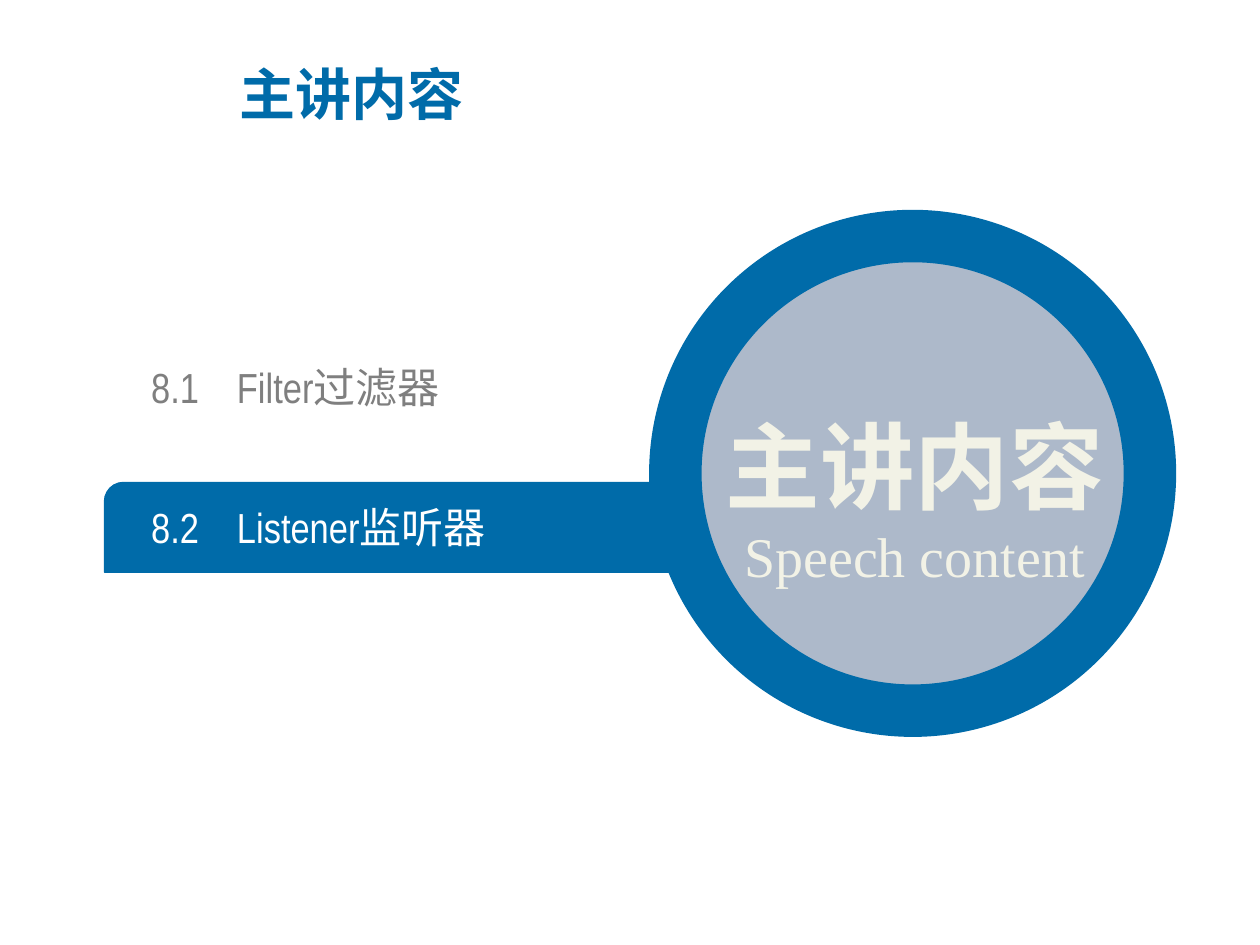
from dataclasses import dataclass

from lxml import etree
from pptx import Presentation
from pptx.dml.color import RGBColor
from pptx.enum.shapes import MSO_SHAPE
from pptx.enum.text import MSO_ANCHOR, MSO_AUTO_SIZE, PP_ALIGN
from pptx.oxml.ns import qn
from pptx.util import Pt

BAR = MSO_SHAPE.ROUND_2_DIAG_RECTANGLE
OVAL = MSO_SHAPE.OVAL
MIDDLE = MSO_ANCHOR.MIDDLE
NO_FIT = MSO_AUTO_SIZE.NONE
LEFT, CENTER = PP_ALIGN.LEFT, PP_ALIGN.CENTER

BLUE = RGBColor(0x00, 0x6B, 0xA9)
GREY = RGBColor(0x7F, 0x7F, 0x7F)
WHITE = RGBColor(0xFF, 0xFF, 0xFF)
SLATE = RGBColor(0xAD, 0xB9, 0xCA)
CREAM = RGBColor(0xF2, 0xF2, 0xE6)

CJK = "Noto Sans CJK SC"
ITEM_LEFT, ITEM_TOP, ITEM_STEP = 86.4, 206.6, 80
NUMBER_WIDTH = 49


@dataclass
class Box:
    left: float
    top: float
    width: float
    height: float

    def lengths(self):
        return [Pt(v) for v in (self.left, self.top, self.width, self.height)]


@dataclass
class Style:
    font: str
    size: float
    color: RGBColor
    bold: bool = False


@dataclass
class Item:
    number: str
    text: str
    color: RGBColor


ITEMS = [Item("8.1", "Filter过滤器", GREY), Item("8.2", "Listener监听器", WHITE)]


def set_frame(tf, inset=None) -> None:
    for name, value in {"word_wrap": True, "auto_size": NO_FIT,
                        "vertical_anchor": MIDDLE}.items():
        setattr(tf, name, value)
    if inset is not None:
        for side in ("left", "top", "right", "bottom"):
            setattr(tf, f"margin_{side}", Pt(inset))


def write(p, text: str, style: Style, align=LEFT, spacing: float = 1.0) -> None:
    p.alignment, p.line_spacing = align, spacing
    r = p.add_run()
    r.text = text
    for name, value in {"name": style.font, "size": Pt(style.size),
                        "bold": style.bold}.items():
        setattr(r.font, name, value)
    r.font.color.rgb = style.color
    ea = etree.SubElement(r.font._element, qn("a:ea"))
    ea.set("typeface", CJK)


def add_filled(s, kind, box: Box, fill: RGBColor, line_width: float):
    sp = s.shapes.add_shape(kind, *box.lengths())
    sp.shadow.inherit = False
    sp.fill.solid()
    sp.fill.fore_color.rgb = fill
    sp.line.color.rgb = BLUE
    sp.line.width = Pt(line_width)
    return sp


def add_item(s, item: Item, top: float) -> None:
    sp = s.shapes.add_textbox(*Box(ITEM_LEFT, top, 301.7, 28.8).lengths())
    set_frame(sp.text_frame, 0)
    p = sp.text_frame.paragraphs[0]
    write(p, f"{item.number}\t{item.text}", Style("Arial Narrow", 24, item.color))
    # Hanging indent sets the gap after the number
    pPr = p._p.get_or_add_pPr()
    pPr.set("marL", str(Pt(NUMBER_WIDTH)))
    pPr.set("indent", str(-Pt(NUMBER_WIDTH)))


def main() -> None:
    prs = Presentation()
    prs.slide_width, prs.slide_height = Pt(720), Pt(540)
    s = prs.slides.add_slide(prs.slide_layouts[5])

    # Title
    title = s.shapes.title
    title.left, title.top, title.width, title.height = Box(129.6, 31, 389.5, 43.9).lengths()
    set_frame(title.text_frame)
    write(title.text_frame.paragraphs[0], "主讲内容", Style(CJK, 32, BLUE, True))

    # Highlight bar and list of sections
    bar = add_filled(s, BAR, Box(59.8, 275.8, 385.2, 51.1), BLUE, 1)
    bar.adjustments[0] = 0.21
    bar.adjustments[1] = 0
    for i, item in enumerate(ITEMS):
        add_item(s, item, ITEM_TOP + i * ITEM_STEP)

    # Ring with its caption
    add_filled(s, OVAL, Box(385.9, 134.9, 271.2, 271.2), SLATE, 30)
    caption = s.shapes.add_textbox(*Box(382.3, 196.6, 280.8, 144).lengths())
    tf = caption.text_frame
    set_frame(tf)
    write(tf.paragraphs[0], "主讲内容", Style(CJK, 54, CREAM, True), CENTER, 1.5)
    write(tf.add_paragraph(), "Speech content",
          Style("Times New Roman", 32, CREAM), CENTER)

    prs.save("out.pptx")


if __name__ == "__main__":
    main()
